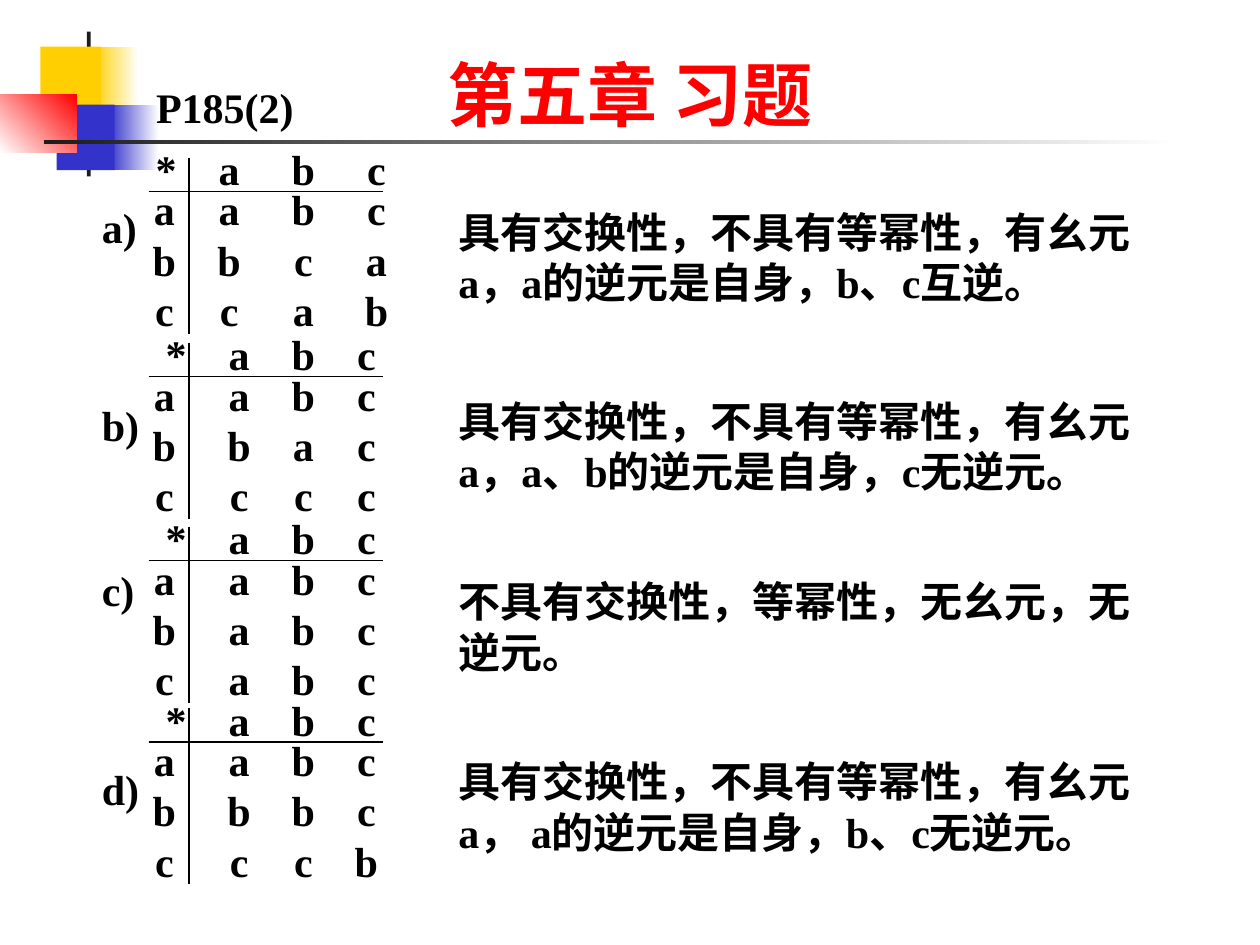
from pptx import Presentation
from pptx.dml.color import RGBColor
from pptx.enum.lang import MSO_LANGUAGE_ID as Lang
from pptx.enum.shapes import MSO_CONNECTOR as Link, MSO_SHAPE as Shape
from pptx.enum.text import MSO_ANCHOR as Anchor, MSO_AUTO_SIZE as Fit, PP_ALIGN as Align
from pptx.oxml.ns import qn
from pptx.util import Inches, Pt
from lxml.etree import SubElement

SERIF = "Times New Roman"
WIDE = (1.32, 1.82, 2.41, 2.99)
TIGHT = (1.4, 1.9, 2.41, 2.91)
TASKS = [
    ("a)", 1.05, 0.5, 0.54, WIDE, ("abc", "bca", "cab"),
     "具有交换性，不具有等幂性，有幺元a，a的逆元是自身，b、c互逆。"),
    ("b)", 2.52, 0.6, 0.57, TIGHT, ("abc", "bac", "ccc"),
     "具有交换性，不具有等幂性，有幺元a，a、b的逆元是自身，c无逆元。"),
    ("c)", 3.98, 0.45, 0.54, TIGHT, ("abc", "abc", "abc"),
     "不具有交换性，等幂性，无幺元，无逆元。"),
    ("d)", 5.42, 0.59, 0.53, TIGHT, ("abc", "bbc", "ccb"),
     "具有交换性，不具有等幂性，有幺元a， a的逆元是自身，b、c无逆元。"),
]


def tint(code):
    """Turn a hex string into a colour."""
    return RGBColor.from_string(code)


def style(par, size, face, code):
    """Format every run of a paragraph."""
    for run in par.runs:
        font = run.font
        font.size, font.name, font.bold = Pt(size), face, True
        font.color.rgb = tint(code)
        font.language_id = Lang.SIMPLIFIED_CHINESE


def write(shapes, box, lines, align=Align.LEFT, stops=(), space=None):
    """Add a text box with one paragraph per line and centred tab stops."""
    shape = shapes.add_textbox(*map(Inches, box))
    frame = shape.text_frame
    frame.word_wrap, frame.auto_size = True, Fit.SHAPE_TO_FIT_TEXT
    frame.text = "\n".join(lines)
    for par in frame.paragraphs:
        par.alignment = align
        props = par._p.get_or_add_pPr()
        props.set("hangingPunct", "0")
        if space:
            par.line_spacing = space
        if stops:
            tabs = SubElement(props, qn("a:tabLst"))
            for stop in stops:
                SubElement(tabs, qn("a:tab"), pos=str(Inches(stop)), algn="ctr")
        style(par, 24, SERIF, "000000")


def rule(shapes, *ends):
    """Draw a thin black line between two points."""
    line = shapes.add_connector(Link.STRAIGHT, *map(Inches, ends))
    line.line.color.rgb, line.line.width = tint("000000"), Pt(0.75)
    SubElement(line._element.spPr, qn("a:effectLst"))


def block(shapes, box, first, last=None, angle=0):
    """Add a borderless rectangle with a solid or a graded fill."""
    shape = shapes.add_shape(Shape.RECTANGLE, *map(Inches, box))
    shape.shadow.inherit = False
    shape.line.fill.background()
    fill = shape.fill
    if last is None:
        fill.solid()
        fill.fore_color.rgb = tint(first)
        return
    fill.gradient()
    fill.gradient_angle = angle
    for stop, code in zip(fill.gradient_stops, (first, last)):
        stop.color.rgb = tint(code)


def decor(shapes, left, top):
    """Place the coloured blocks and the graded rule under the title."""
    for x, y, wide, high, *fill in [
        (0.74, 0.12, 0.36, 0.52, "FFCF01", "FFFFFF"),
        (0.86, 0.58, 0.4, 0.52, "3333CC", "FFFFFF"),
        (0.69, 0, 0.03, 1.15, "1C1C1C"),
        (0.32, 0.12, 0.48, 0.52, "FFCF01"),
        (0.45, 0.58, 0.46, 0.52, "3333CC"),
        (0, 0.5, 0.61, 0.46, "FFFFFF", "FF0000", 45),
        (0.35, 0.86, 9, 0.03, "1C1C1C", "FFFFFF"),
    ]:
        block(shapes, (left + x, top + y, wide, high), *fill)


def head(slide, box):
    """Place and format the title."""
    title = slide.shapes.title
    title.left, title.top, title.width, title.height = map(Inches, box)
    frame = title.text_frame
    frame.text, frame.vertical_anchor = "第五章 习题", Anchor.MIDDLE
    par = frame.paragraphs[0]
    par.alignment = Align.CENTER
    style(par, 40, "Arial", "FF0000")


def grid(shapes, left, top, cols, rows):
    """Build one operation table from its corner, column centres and rows."""
    inset, body = 0.1, left + 0.52
    write(shapes, (left + 0.01, top + 0.36, 0.47, 1.3), "abc", Align.CENTER)
    write(shapes, (left, top, 2.16, 0.54), ["\t" + "\t".join("*abc")],
          stops=[col - left - inset for col in cols], space=1.1)
    rule(shapes, left + 0.12, top + 0.47, left + 1.98, top + 0.47)
    rule(shapes, left + 0.44, top + 0.2, left + 0.44, top + 1.6)
    write(shapes, (body, top + 0.36, 1.64, 1.3),
          ["\t" + "\t".join(row) for row in rows],
          stops=[col - body - inset for col in cols[1:]])


def task(shapes, left, top, name, drop, fall, cols, rows, note):
    """Place one exercise: its label, operation table and answer."""
    grid(shapes.add_group_shape().shapes, left + 0.35, top, cols, rows)
    write(shapes, (left, top + drop, 0.55, 0.5), [name])
    write(shapes, (left + 2.83, top + fall, 5.67, 0.9), [note])


def main():
    """Build the slide and save it."""
    deck = Presentation()
    deck.slide_width, deck.slide_height = Inches(10), Inches(7.5)
    slide = deck.slides.add_slide(deck.slide_layouts[5])
    shapes = slide.shapes
    decor(shapes, 0, 0.25)
    head(slide, (0.75, 0.36, 8.5, 0.77))
    for name, top, *rest in TASKS:
        task(shapes, 0.71, top, name, *rest)
    write(shapes, (1.14, 0.6, 1.81, 0.5), ["P185(2)"])
    deck.save("out.pptx")


if __name__ == "__main__":
    main()
